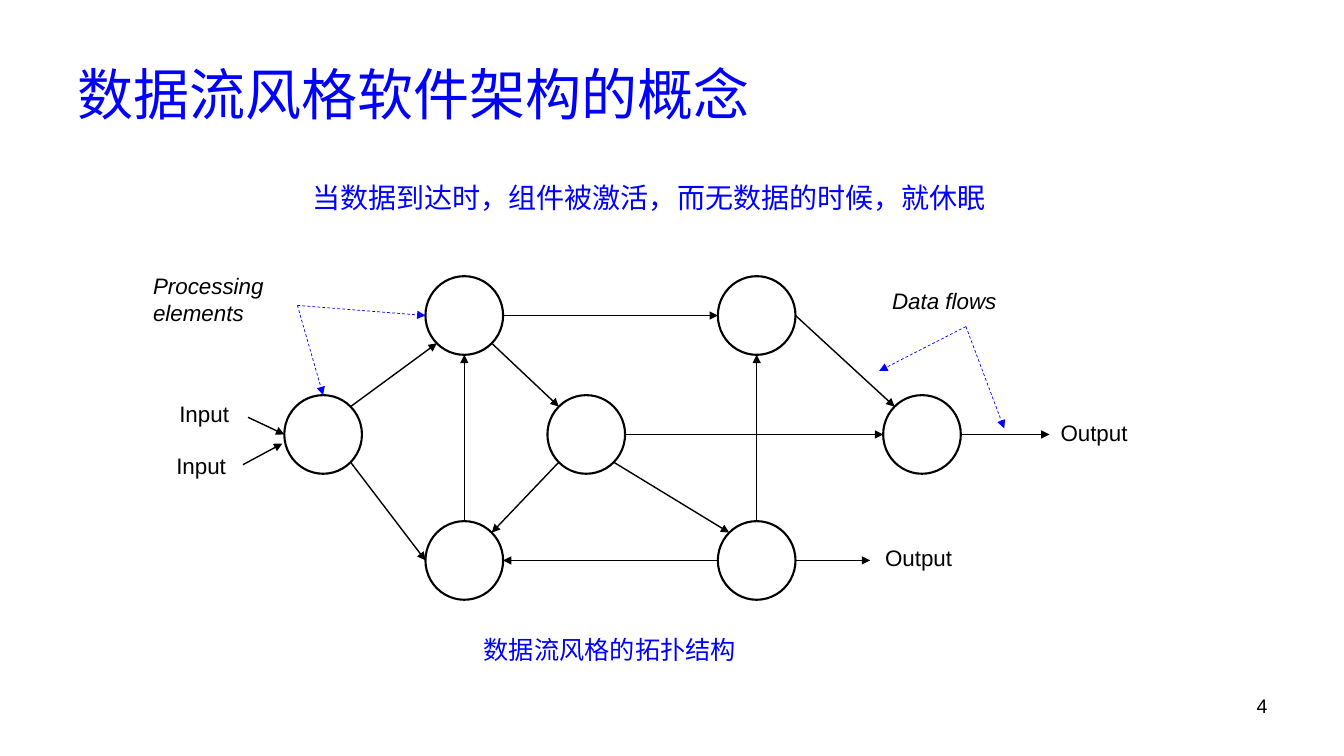
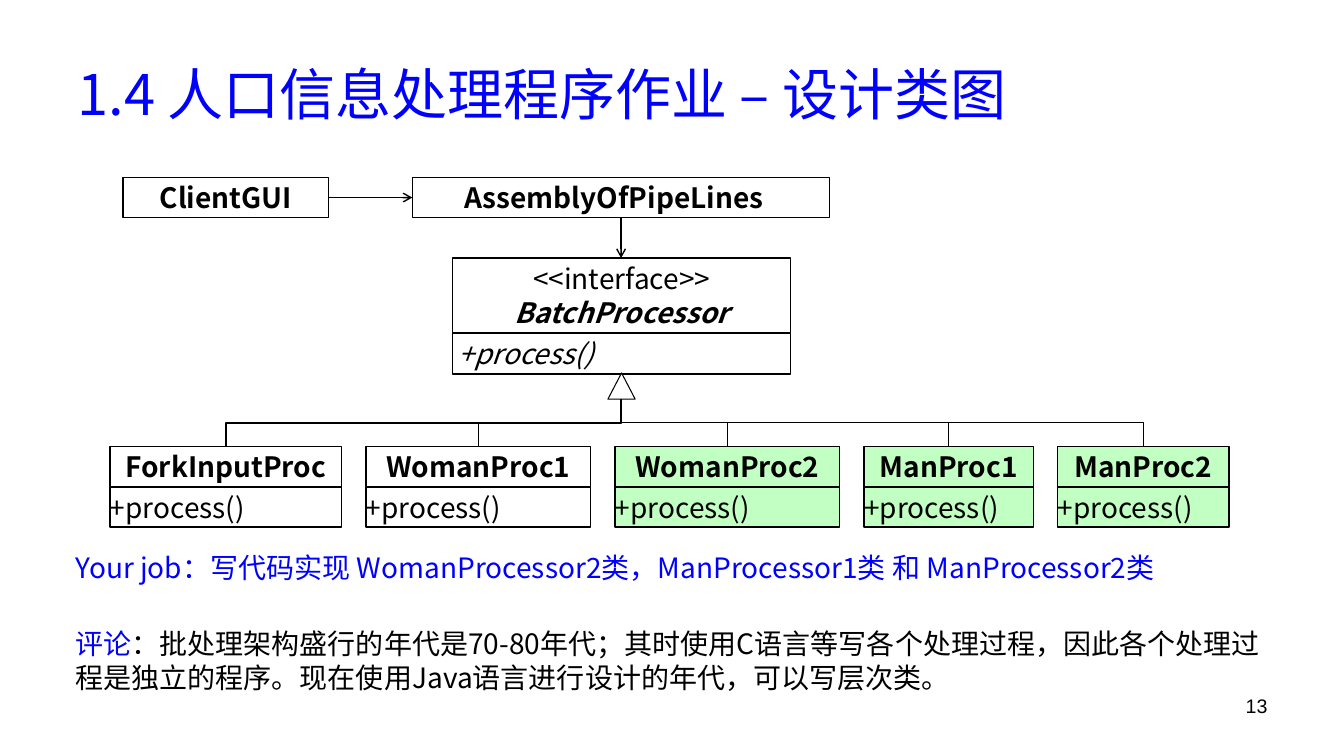
from itertools import accumulate
from math import hypot

from lxml.etree import SubElement
from pptx import Presentation
from pptx.dml.color import RGBColor
from pptx.enum.dml import MSO_LINE
from pptx.enum.shapes import MSO_CONNECTOR, MSO_SHAPE
from pptx.enum.text import MSO_ANCHOR, PP_ALIGN
from pptx.oxml.ns import qn
from pptx.util import Inches, Pt

COLORS = {"ink": "000000", "blue": "0000FF", "paper": "FFFFFF", "green": "00FF00"}
CJK = "Noto Sans CJK SC"
LATIN = "Arial"
NODE_W, NODE_H = 0.77, 0.78
ROW_H = 0.4
SIDES = {"N": (0, -1), "S": (0, 1), "W": (-1, 0), "E": (1, 0),
         "NW": (-1, -1), "NE": (1, -1), "SW": (-1, 1), "SE": (1, 1)}


def rgb(name):
    return RGBColor.from_string(COLORS[name])


def style(p, size, color="ink", font=CJK, bold=False, italic=False, align=PP_ALIGN.LEFT):
    p.alignment = align
    f = p.font
    f.size, f.bold, f.italic, f.name = Pt(size), bold, italic, font
    f.color.rgb = rgb(color)
    SubElement(f._element, qn("a:ea"), typeface=font)


def add_text(slide, x, y, w, h, text, size, **look):
    sp = slide.shapes.add_textbox(Inches(x), Inches(y), Inches(w), Inches(h))
    tf = sp.text_frame
    tf.word_wrap = True
    p = tf.paragraphs[0]
    p.text = text
    style(p, size, **look)
    return p


def add_outline(slide, kind, x, y, w, h, fill=None, alpha=None, width=1):
    sp = slide.shapes.add_shape(kind, Inches(x), Inches(y), Inches(w), Inches(h))
    sp.shadow.inherit = False
    sp.line.color.rgb = rgb("ink")
    sp.line.width = Pt(width)
    if fill:
        sp.fill.solid()
        sp.fill.fore_color.rgb = rgb(fill)
    else:
        sp.fill.background()
    if alpha:
        color = sp._element.spPr.find(qn("a:solidFill")).find(qn("a:srgbClr"))
        SubElement(color, qn("a:alpha"), val=str(alpha * 1000))
    return sp


def add_line(slide, start, end, color="ink", width=1, dash=False, head=None,
             kind=MSO_CONNECTOR.STRAIGHT):
    cx = slide.shapes.add_connector(kind, *(Inches(v) for v in (*start, *end)))
    cx.line.color.rgb = rgb(color)
    cx.line.width = Pt(width)
    if dash:
        cx.line.dash_style = MSO_LINE.DASH
    if head:
        SubElement(cx.line._get_or_add_ln(), qn("a:tailEnd"), type=head)
    SubElement(cx._element.spPr, qn("a:effectLst"))
    return cx


def add_tree_branch(slide, child, parent):
    rise, run = child[1] - parent[1], parent[0] - child[0]
    mid_x, mid_y = (child[0] + parent[0]) / 2, (child[1] + parent[1]) / 2
    cx = add_line(slide, (mid_x - rise / 2, mid_y - run / 2),
                  (mid_x + rise / 2, mid_y + run / 2), kind=MSO_CONNECTOR.ELBOW)
    cx._element.spPr.find(qn("a:xfrm")).set("rot", str(270 * 60000))


def add_compartment(slide, x, y, w, h, lines, fill=None, alpha=None,
                    align=PP_ALIGN.CENTER, left=0.06, right=0.06):
    sp = add_outline(slide, MSO_SHAPE.RECTANGLE, x, y, w, h, fill, alpha)
    tf = sp.text_frame
    tf.word_wrap = True
    tf.vertical_anchor = MSO_ANCHOR.MIDDLE
    tf.margin_left, tf.margin_right = Inches(left), Inches(right)
    tf.margin_top = tf.margin_bottom = Inches(0.03)
    for i, (text, bold, italic) in enumerate(lines):
        p = tf.add_paragraph() if i else tf.paragraphs[0]
        p.text = text
        style(p, 20, bold=bold, italic=italic, align=align)


def add_class(slide, x, y, w, name, fill=None, alpha=None):
    add_compartment(slide, x, y, w, ROW_H, [(name, True, False)], fill, alpha, left=0, right=0)
    add_compartment(slide, x, y + ROW_H, w, ROW_H, [("+process()", False, False)],
                    fill, alpha, PP_ALIGN.LEFT, left=0)


def add_titled_slide(prs, title, number):
    slide = prs.slides.add_slide(prs.slide_layouts[5])
    sp = slide.shapes.title
    sp.left, sp.top, sp.width, sp.height = (Inches(v) for v in (0.67, 0.3, 12, 1.25))
    tf = sp.text_frame
    tf.vertical_anchor = MSO_ANCHOR.MIDDLE
    tf.text = title
    style(tf.paragraphs[0], 40, "blue")
    add_text(slide, 9.56, 6.83, 3.11, 0.52, number, 14, font=LATIN, align=PP_ALIGN.RIGHT)
    return slide


def add_network(slide, x, y):
    nodes = {"source": (1.4, 1.27), "upper": (2.8, 0.09), "lower": (2.8, 2.52),
             "hub": (4.01, 1.27), "upper right": (5.7, 0.09),
             "lower right": (5.7, 2.52), "sink": (7.34, 1.27)}
    for dx, dy in nodes.values():
        add_outline(slide, MSO_SHAPE.OVAL, x + dx, y + dy, NODE_W, NODE_H, width=1.5)

    def port(name, side):
        dx, dy = nodes[name]
        ux, uy = SIDES[side]
        reach = 2 * hypot(ux, uy)
        return dx + NODE_W / 2 + NODE_W * ux / reach, dy + NODE_H / 2 + NODE_H * uy / reach

    flows = [
        ((1.04, 1.49), port("source", "W")),
        ((0.99, 1.96), (1.38, 1.75)),
        (port("source", "NE"), port("upper", "SW")),
        (port("source", "SE"), port("lower", "W")),
        (port("upper", "E"), port("upper right", "W")),
        (port("upper", "SE"), port("hub", "NW")),
        (port("lower", "N"), port("upper", "S")),
        (port("hub", "SW"), port("lower", "NE")),
        (port("lower right", "W"), port("lower", "E")),
        (port("lower right", "N"), port("upper right", "S")),
        (port("hub", "SE"), port("lower right", "NW")),
        (port("hub", "E"), port("sink", "W")),
        (port("upper right", "E"), port("sink", "NW")),
        (port("sink", "E"), (8.99, 1.66)),
        (port("lower right", "E"), (7.21, 2.91)),
    ]
    pointers = [
        ((1.53, 0.38), port("upper", "W")),
        ((1.53, 0.38), port("source", "N")),
        ((8.16, 0.59), (7.3, 1.03)),
        ((8.16, 0.59), (8.54, 1.6)),
    ]
    pointer_look = {"color": "blue", "width": 0.5, "dash": True}
    for links, look in ((flows, {}), (pointers, pointer_look)):
        for start, end in links:
            add_line(slide, (x + start[0], y + start[1]), (x + end[0], y + end[1]),
                     head="triangle", **look)

    labels = [
        ("Input", 0.26, 1.27, 1.02, 0.44, False),
        ("Input", 0.23, 1.79, 1.02, 0.44, False),
        ("Output", 9, 1.46, 1.02, 0.44, False),
        ("Output", 7.26, 2.7, 1.02, 0.44, False),
        ("Processing elements", 0, 0, 1.53, 0.76, True),
        ("Data flows", 7.33, 0.15, 1.66, 0.44, True),
    ]
    for text, dx, dy, w, h, italic in labels:
        add_text(slide, x + dx, y + dy, w, h, text, 16, font=LATIN, italic=italic)


def add_class_diagram(slide, x, y):
    axis = x + 5.07
    add_compartment(slide, x + 0.13, y, 2.04, ROW_H, [("ClientGUI", True, False)], "paper")
    add_compartment(slide, x + 3, y, 4.14, ROW_H, [("AssemblyOfPipeLines", True, False)],
                    "paper", left=0, right=0.14)
    add_line(slide, (x + 2.17, y + 0.2), (x + 3, y + 0.2), head="arrow")
    add_line(slide, (axis, y + ROW_H), (axis, y + 0.8), head="arrow")

    add_compartment(slide, x + 3.4, y + 0.8, 3.35, 0.74,
                    [("<<interface>>", False, False), ("BatchProcessor", True, True)], "paper")
    add_compartment(slide, x + 3.4, y + 1.55, 3.35, ROW_H, [("+process()", False, True)],
                    "paper", align=PP_ALIGN.LEFT)
    add_outline(slide, MSO_SHAPE.ISOSCELES_TRIANGLE, axis - 0.13, y + 1.94, 0.27, 0.26,
                "paper", width=0.75)

    gap, top = 0.24, y + 2.67
    classes = [("ForkInputProc", 2.3, False), ("WomanProc1", 2.23, False),
               ("WomanProc2", 2.23, True), ("ManProc1", 1.68, True), ("ManProc2", 1.7, True)]
    lefts = accumulate((w + gap for _, w, _ in classes), initial=x)
    for left, (name, w, todo) in zip(lefts, classes):
        shade = {"fill": "green", "alpha": 24} if todo else {}
        add_class(slide, left, top, w, name, **shade)
        add_tree_branch(slide, (left + w / 2, top), (axis, y + 2.2))


def add_remarks(slide, x, y):
    add_text(slide, x, y, 12, 0.44,
             "Your job：写代码实现 WomanProcessor2类，ManProcessor1类 和 ManProcessor2类",
             20, color="blue")
    p = add_text(slide, x, y + 0.76, 12.02, 0.77, "评论", 20)
    p.runs[0].font.color.rgb = rgb("blue")
    r = p.add_run()
    r.text = ("：批处理架构盛行的年代是70-80年代；其时使用C语言等写各个处理过程，"
              "因此各个处理过程是独立的程序。现在使用Java语言进行设计的年代，可以写层次类。")


def main():
    prs = Presentation()
    prs.slide_width, prs.slide_height = Inches(13.33), Inches(7.5)

    s = add_titled_slide(prs, "数据流风格软件架构的概念", "4")
    add_text(s, 3, 1.74, 7.63, 0.44, "当数据到达时，组件被激活，而无数据的时候，就休眠",
             20, color="blue")
    add_network(s, 1.42, 2.65)
    add_text(s, 4.7, 6.24, 3, 0.4, "数据流风格的拓扑结构", 18, color="blue")

    s = add_titled_slide(prs, "1.4 人口信息处理程序作业 – 设计类图", "13")
    add_class_diagram(s, 1.09, 1.76)
    add_remarks(s, 0.65, 5.41)

    prs.save("out.pptx")


if __name__ == "__main__":
    main()
